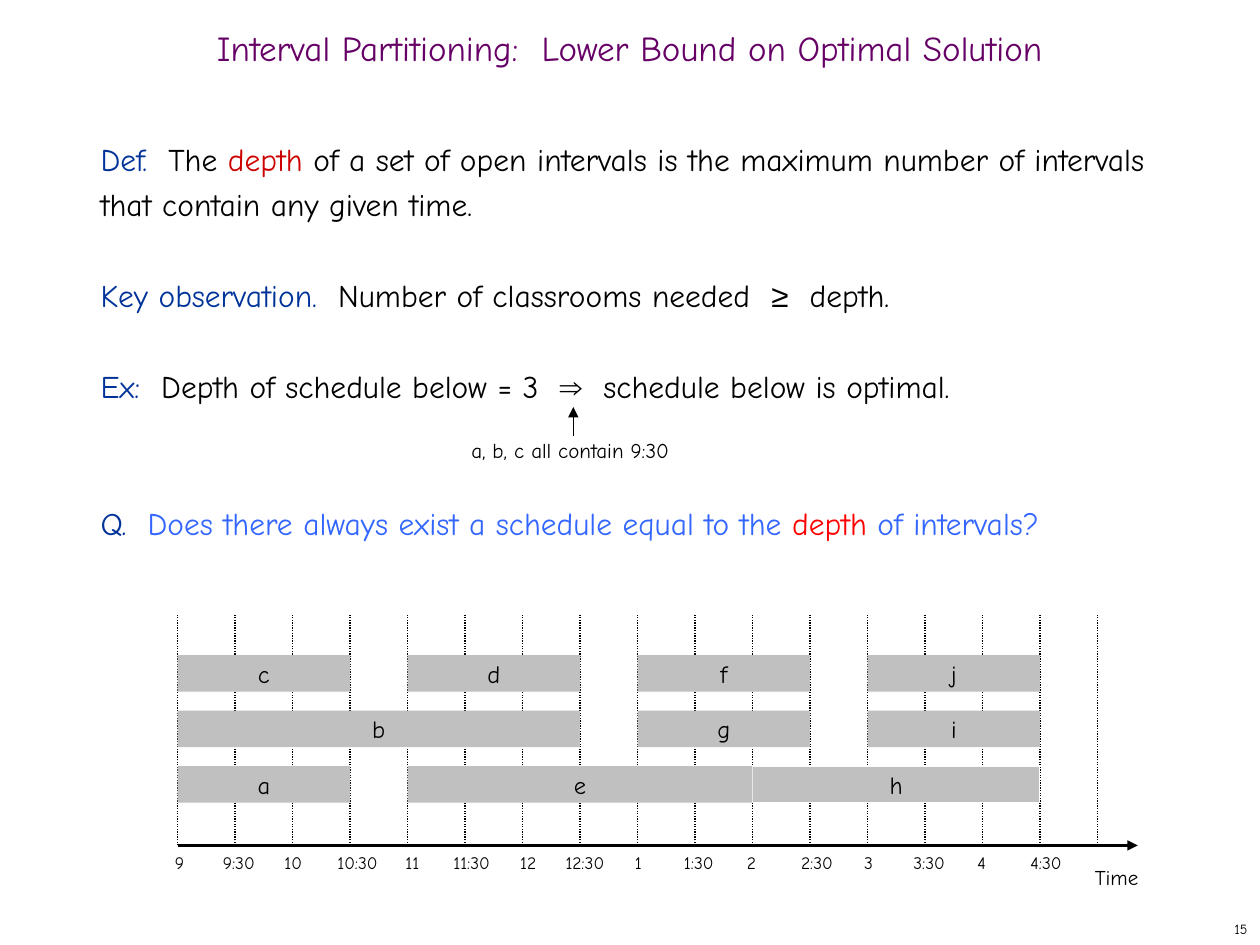
from lxml import etree
from pptx import Presentation
from pptx.dml.color import RGBColor
from pptx.enum.dml import MSO_LINE
from pptx.enum.shapes import MSO_CONNECTOR, MSO_SHAPE
from pptx.enum.text import MSO_ANCHOR, PP_ALIGN
from pptx.oxml.ns import qn
from pptx.util import Inches, Pt

LEFT, CENTER, RIGHT = PP_ALIGN.LEFT, PP_ALIGN.CENTER, PP_ALIGN.RIGHT
TOP, MIDDLE = MSO_ANCHOR.TOP, MSO_ANCHOR.MIDDLE
STRAIGHT = MSO_CONNECTOR.STRAIGHT
RECTANGLE = MSO_SHAPE.RECTANGLE
DOTTED = MSO_LINE.ROUND_DOT

COLORS = {
    "ink": "000000", "title": "660066", "term": "003399", "depth": "CC0000",
    "question": "3366FF", "alert": "FF0000", "bar": "C0C0C0", "edge": "FFFFFF",
}
FONT = "Comic Neue"
SYMBOL_FONT = "Arial"

AXIS_LEFT, AXIS_Y, AXIS_END = 1.41, 6.71, 9.03
GRID_TOP = 4.87
TICKS = 17
TICK_STEP = 7.3 / (TICKS - 1)
BAR_HEIGHT = 0.29
ROOM_TOPS = [5.2, 5.64, 6.08]

HOURS = [
    ("9", 1.29), ("9:30", 1.67), ("10", 2.16), ("10:30", 2.58),
    ("11", 3.12), ("11:30", 3.5), ("12", 4.03), ("12:30", 4.39),
    ("1", 4.94), ("1:30", 5.33), ("2", 5.83), ("2:30", 6.26),
    ("3", 6.76), ("3:30", 7.15), ("4", 7.66), ("4:30", 8.08),
]
HOUR_WIDTHS = {1: 0.3, 2: 0.37, 4: 0.49, 5: 0.56}

LECTURES = [
    ("h", 2, 10, 15), ("c", 0, 0, 3), ("a", 2, 0, 3), ("e", 2, 4, 10),
    ("f", 0, 8, 11), ("g", 1, 8, 11), ("i", 1, 12, 15), ("j", 0, 12, 15),
    ("d", 0, 4, 7), ("b", 1, 0, 7),
]

STATEMENTS = [
    (0, [("Def.  ", "term"), ("The ", "ink"), ("depth", "depth"),
         (" of a set of open intervals is the maximum number of intervals "
          "that contain any given time.", "ink")]),
    (26, [("Key observation.  ", "term"),
          ("Number of classrooms needed  ", "ink"),
          ("≥", "ink", SYMBOL_FONT), ("  depth.", "ink")]),
    (26, [("Ex:  ", "term"), ("Depth of schedule below = 3  ", "ink"),
          ("⇒", "ink", SYMBOL_FONT), ("  schedule below is optimal.", "ink")]),
    (52, [("Q.  ", "term"),
          ("Does there always exist a schedule equal to the ", "question"),
          ("depth", "alert"), (" of intervals?", "question")]),
]


class SlideBuilder:
    def __init__(self, slide):
        self.slide = slide

    def color(self, name):
        return RGBColor.from_string(COLORS[name])

    def run(self, paragraph, text, size, color="ink", font=FONT):
        run = paragraph.add_run()
        run.text = text
        run.font.name = font
        run.font.size = Pt(size)
        run.font.color.rgb = self.color(color)

    def frame(self, left, top, width, height, anchor=TOP, wrap=True, inset=True):
        box = self.slide.shapes.add_textbox(
            Inches(left), Inches(top), Inches(width), Inches(height))
        frame = box.text_frame
        frame.word_wrap = wrap
        frame.vertical_anchor = anchor
        if not inset:
            frame.margin_left = frame.margin_right = 0
            frame.margin_top = frame.margin_bottom = 0
        return frame

    def label(self, text, place, size, color="ink", align=LEFT, spacing=None, **layout):
        paragraph = self.frame(*place, **layout).paragraphs[0]
        paragraph.alignment = align
        paragraph.line_spacing = spacing
        self.run(paragraph, text, size, color)

    def statements(self, place, items, size, line_points):
        frame = self.frame(*place)
        for index, (gap, parts) in enumerate(items):
            paragraph = frame.add_paragraph() if index else frame.paragraphs[0]
            paragraph.line_spacing = Pt(line_points)
            if gap:
                paragraph.space_before = Pt(gap)
            for text, *style in parts:
                self.run(paragraph, text, size, *style)

    def line(self, start, end, width, dash=None, arrow=False):
        line = self.slide.shapes.add_connector(
            STRAIGHT, *(Inches(value) for value in (*start, *end)))
        line.line.color.rgb = self.color("ink")
        line.line.width = Pt(width)
        if dash:
            line.line.dash_style = dash
        if arrow:
            outline = line.line._get_or_add_ln()
            etree.SubElement(outline, qn("a:tailEnd"), type="triangle")
        etree.SubElement(line._element.spPr, qn("a:effectLst"))

    def bar(self, name, left, top, width, edged=False):
        bar = self.slide.shapes.add_shape(
            RECTANGLE, Inches(left), Inches(top), Inches(width), Inches(BAR_HEIGHT))
        bar.shadow.inherit = False
        bar.fill.solid()
        bar.fill.fore_color.rgb = self.color("bar")
        if edged:
            bar.line.color.rgb = self.color("edge")
            bar.line.width = Pt(0.75)
        else:
            bar.line.fill.background()
        frame = bar.text_frame
        frame.word_wrap = False
        frame.vertical_anchor = MIDDLE
        frame.paragraphs[0].alignment = CENTER
        self.run(frame.paragraphs[0], name, 14)


def tick_x(tick):
    return AXIS_LEFT + tick * TICK_STEP


def main():
    deck = Presentation()
    deck.slide_width = Inches(10)
    deck.slide_height = Inches(7.5)
    builder = SlideBuilder(deck.slides.add_slide(deck.slide_layouts[6]))

    builder.label("15", (7.92, 7.25, 2.08, 0.25), 8, align=RIGHT,
                  anchor=MIDDLE, wrap=False)
    for tick in range(TICKS):
        builder.line((tick_x(tick), AXIS_Y), (tick_x(tick), GRID_TOP), 0.75, dash=DOTTED)
    builder.label("Interval Partitioning:  Lower Bound on Optimal Solution",
                  (0, 0.17, 10, 0.5), 20, "title", CENTER, 0.7, anchor=MIDDLE)
    builder.statements((0.7, 1, 8.58, 5.92), STATEMENTS, 18, 26)

    builder.line((AXIS_LEFT, AXIS_Y), (AXIS_END, AXIS_Y), 1.25, arrow=True)
    builder.label("Time", (8.59, 6.81, 0.72, 0.3), 12)
    for hour, left in HOURS:
        builder.label(hour, (left, AXIS_Y, HOUR_WIDTHS[len(hour)], 0.27), 10, wrap=False)
    for name, room, start, end in LECTURES:
        builder.bar(name, tick_x(start), ROOM_TOPS[room],
                    (end - start) * TICK_STEP, edged=name == "h")

    builder.label("a, b, c all contain 9:30", (3.74, 3.47, 1.98, 0.2), 12, inset=False)
    builder.line((4.55, 3.46), (4.55, 3.23), 0.75, arrow=True)
    deck.save("out.pptx")


if __name__ == "__main__":
    main()
